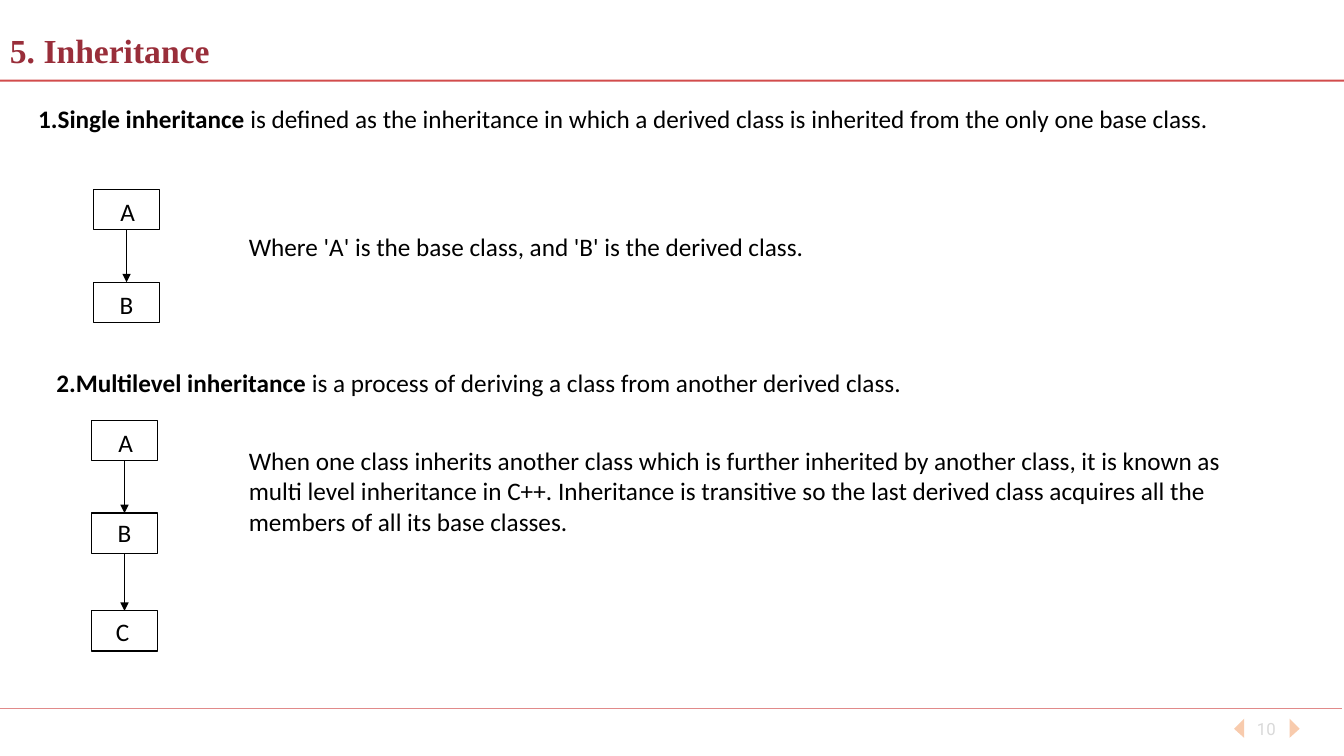
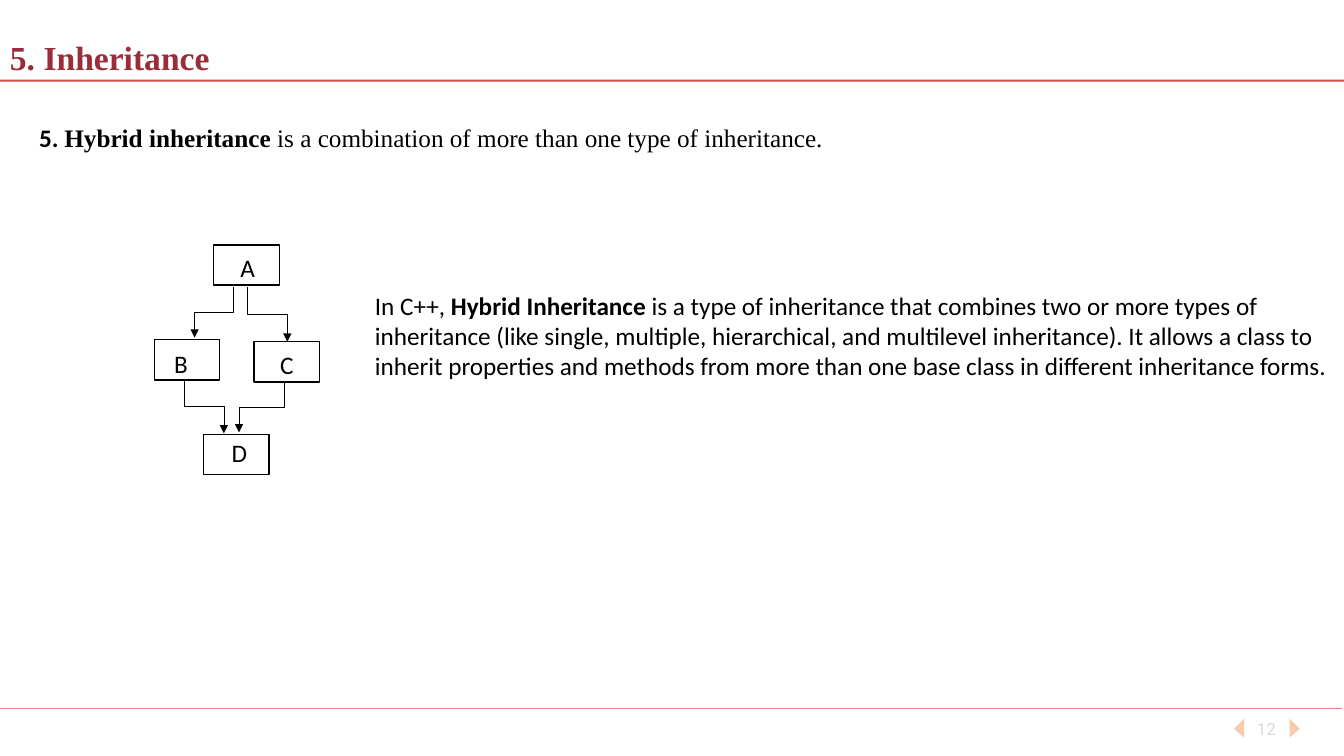
from dataclasses import dataclass

from lxml.etree import SubElement
from pptx import Presentation
from pptx.dml.color import RGBColor
from pptx.enum.shapes import MSO_CONNECTOR as Link, MSO_SHAPE as Preset
from pptx.enum.text import MSO_ANCHOR as Anchor, MSO_AUTO_SIZE as AutoSize, PP_ALIGN as Align
from pptx.oxml.ns import qn
from pptx.shapes.autoshape import Shape
from pptx.shapes.connector import Connector
from pptx.slide import Slide
from pptx.util import Inches, Pt

COLORS = {
    "title": "992E3A",
    "rule": "C00000",
    "ink": "000000",
    "pager": "F8CBAD",
    "page_number": "D9D9D9",
}
BODY_FONT, TITLE_FONT, PAGE_FONT = "Calibri", "Times New Roman", "Roboto"
NODE_WIDTH, NODE_HEIGHT = 0.65, 0.4


@dataclass(frozen=True)
class Span:
    text: str
    bold: bool = False
    font: str = BODY_FONT
    size: float = 18
    color: str = "ink"


@dataclass(frozen=True)
class Passage:
    left: float
    top: float
    width: float
    height: float
    spans: tuple[Span, ...]


@dataclass(frozen=True)
class ClassNode:
    label: str
    left: float
    top: float
    label_dx: float = 0
    label_dy: float = 0


@dataclass(frozen=True)
class Elbow:
    x1: float
    y1: float
    x2: float
    y2: float


@dataclass(frozen=True)
class Page:
    number: str
    title_top: float
    passages: tuple[Passage, ...]
    chains: tuple[tuple[ClassNode, ...], ...] = ()
    nodes: tuple[ClassNode, ...] = ()
    elbows: tuple[Elbow, ...] = ()


PAGES = (
    Page(
        number="10",
        title_top=0.23,
        passages=(
            Passage(0.28, 0.98, 12.58, 0.4, (
                Span("1.Single inheritance", bold=True),
                Span(" is defined as the inheritance in which a derived class is "
                     "inherited from the only one base class."),
            )),
            Passage(2.37, 2.25, 6.67, 0.4, (
                Span("Where 'A' is the base class, and 'B' is the derived class."),
            )),
            Passage(0.46, 3.59, 11.59, 0.4, (
                Span("2.Multilevel inheritance", bold=True),
                Span(" is a process of deriving a class from another derived class."),
            )),
            Passage(2.37, 4.37, 9.9, 1.01, (
                Span("When one class inherits another class which is further inherited by "
                     "another class, it is known as multi level inheritance in C++. "
                     "Inheritance is transitive so the last derived class acquires all the "
                     "members of all its base classes."),
            )),
        ),
        chains=(
            (ClassNode("A", 0.93, 1.88, 0.01, 0.02), ClassNode("B", 0.93, 2.8, 0, 0.02)),
            (
                ClassNode("A", 0.91, 4.17, 0.01, 0.02),
                ClassNode("B", 0.91, 5.09, 0, -0.01),
                ClassNode("C", 0.91, 6.06, -0.02),
            ),
        ),
    ),
    Page(
        number="12",
        title_top=0.3,
        passages=(
            Passage(0.29, 1.16, 11.59, 0.4, (
                Span("5. ", bold=True),
                Span("Hybrid inheritance ", bold=True, font=TITLE_FONT),
                Span("is a combination of more than one type of inheritance.",
                     font=TITLE_FONT),
            )),
            Passage(3.62, 2.83, 9.71, 1.01, (
                Span("In C++, "),
                Span("Hybrid Inheritance ", bold=True),
                Span("is a type of inheritance that combines two or more types of "
                     "inheritance (like single, multiple, hierarchical, and multilevel "
                     "inheritance). It allows a class to inherit properties and methods "
                     "from more than one base class in different inheritance forms."),
            )),
        ),
        nodes=(
            ClassNode("A", 2.12, 2.43, 0.01, 0.02),
            ClassNode("B", 1.53, 3.37, -0.06, 0.04),
            ClassNode("C", 2.52, 3.39, 0, 0.03),
            ClassNode("D", 2.02, 4.31, 0.03, -0.02),
        ),
        elbows=(
            Elbow(2.45, 2.85, 2.85, 3.39),
            Elbow(2.31, 2.85, 1.93, 3.35),
            Elbow(1.83, 3.76, 2.22, 4.3),
            Elbow(2.82, 3.79, 2.37, 4.29),
        ),
    ),
)


def rgb(color: str) -> RGBColor:
    return RGBColor.from_string(COLORS[color])


def add_spans(shape: Shape, spans: tuple[Span, ...]) -> None:
    paragraph = shape.text_frame.paragraphs[0]
    for span in spans:
        run = paragraph.add_run()
        run.text = span.text
        run.font.name = span.font
        run.font.size = Pt(span.size)
        run.font.bold = span.bold
        run.font.color.rgb = rgb(span.color)


def add_passage(slide: Slide, passage: Passage) -> Shape:
    box = slide.shapes.add_textbox(
        Inches(passage.left), Inches(passage.top),
        Inches(passage.width), Inches(passage.height),
    )
    box.text_frame.word_wrap = True
    box.text_frame.auto_size = AutoSize.SHAPE_TO_FIT_TEXT
    add_spans(box, passage.spans)
    return box


def add_title(slide: Slide, top: float) -> None:
    heading = Span("5. Inheritance", True, TITLE_FONT, 24, "title")
    title = add_passage(slide, Passage(0, top, 12.18, 0.58, (heading,)))
    title.text_frame.auto_size = AutoSize.NONE
    title.text_frame.vertical_anchor = Anchor.MIDDLE
    title.text_frame.paragraphs[0].line_spacing = 0.9


def add_link(slide: Slide, kind: Link, x1: float, y1: float, x2: float, y2: float,
             color: str = "ink", width: float = 0.5) -> Connector:
    link = slide.shapes.add_connector(kind, Inches(x1), Inches(y1), Inches(x2), Inches(y2))
    link.line.color.rgb = rgb(color)
    link.line.width = Pt(width)
    SubElement(link._element.spPr, qn("a:effectLst"))
    return link


def add_arrowhead(link: Connector) -> None:
    SubElement(link.line._get_or_add_ln(), qn("a:tailEnd"), type="triangle")


def add_rule(slide: Slide, y: float, right: float, width: float) -> None:
    rule = add_link(slide, Link.STRAIGHT, 0, y, right, y, "rule", width)
    tint = rule.line._get_or_add_ln().find(f".//{qn('a:srgbClr')}")
    SubElement(tint, qn("a:alpha"), val="70000")


def add_pager(slide: Slide, base_x: float, tip_x: float) -> None:
    builder = slide.shapes.build_freeform(Inches(base_x), Inches(7.13))
    builder.add_line_segments(
        [(Inches(tip_x), Inches(7.23)), (Inches(base_x), Inches(7.32))], close=True
    )
    pager = builder.convert_to_shape()
    pager.shadow.inherit = False
    pager.fill.solid()
    pager.fill.fore_color.rgb = rgb("pager")
    pager.line.fill.background()


def add_frame(slide: Slide, number: str) -> None:
    page_span = Span(number, font=PAGE_FONT, size=12, color="page_number")
    page = add_passage(slide, Passage(12.28, 7.03, 0.56, 0.4, (page_span,)))
    page.text_frame.auto_size = AutoSize.NONE
    page.text_frame.vertical_anchor = Anchor.MIDDLE
    page.text_frame.paragraphs[0].alignment = Align.CENTER
    add_pager(slide, 12.79, 12.89)
    add_pager(slide, 12.34, 12.24)
    add_rule(slide, 7.03, 13.31, 0.5)
    add_rule(slide, 0.8, 13.33, 1.5)


def add_node(slide: Slide, node: ClassNode) -> Shape:
    box = slide.shapes.add_shape(
        Preset.RECTANGLE, Inches(node.left), Inches(node.top),
        Inches(NODE_WIDTH), Inches(NODE_HEIGHT),
    )
    box.shadow.inherit = False
    box.fill.background()
    box.line.color.rgb = rgb("ink")
    box.line.width = Pt(1)
    frame = box.text_frame
    frame.margin_left = Inches(max(0, 2 * node.label_dx))
    frame.margin_right = Inches(max(0, -2 * node.label_dx))
    frame.margin_top = Inches(max(0, 2 * node.label_dy))
    frame.margin_bottom = Inches(max(0, -2 * node.label_dy))
    frame.vertical_anchor = Anchor.MIDDLE
    frame.paragraphs[0].alignment = Align.CENTER
    add_spans(box, (Span(node.label),))
    return box


def add_chain(slide: Slide, chain: tuple[ClassNode, ...]) -> None:
    boxes = [add_node(slide, node) for node in chain]
    for base, derived in zip(boxes, boxes[1:]):
        arrow = add_link(slide, Link.STRAIGHT, 0, 0, 0, 0)
        arrow.begin_connect(base, 2)
        arrow.end_connect(derived, 0)
        add_arrowhead(arrow)


def add_elbow(slide: Slide, elbow: Elbow) -> None:
    rightward = elbow.x2 > elbow.x1
    mid_x, mid_y = (elbow.x1 + elbow.x2) / 2, (elbow.y1 + elbow.y2) / 2
    half_run = (elbow.y2 - elbow.y1) / 2 * (1 if rightward else -1)
    half_rise = abs(elbow.x2 - elbow.x1) / 2
    arrow = add_link(
        slide, Link.ELBOW, mid_x + half_run, mid_y - half_rise,
        mid_x - half_run, mid_y + half_rise,
    )
    turn = 270 if rightward else 90
    arrow._element.spPr.find(qn("a:xfrm")).set("rot", str(turn * 60000))
    add_arrowhead(arrow)


def add_page(deck: Presentation, page: Page) -> None:
    slide = deck.slides.add_slide(deck.slide_layouts[6])
    add_frame(slide, page.number)
    for passage in page.passages:
        add_passage(slide, passage)
    for chain in page.chains:
        add_chain(slide, chain)
    for node in page.nodes:
        add_node(slide, node)
    for elbow in page.elbows:
        add_elbow(slide, elbow)
    add_title(slide, page.title_top)


def main() -> None:
    deck = Presentation()
    deck.slide_width, deck.slide_height = Inches(13.33), Inches(7.5)
    for page in PAGES:
        add_page(deck, page)
    deck.save("out.pptx")


if __name__ == "__main__":
    main()
